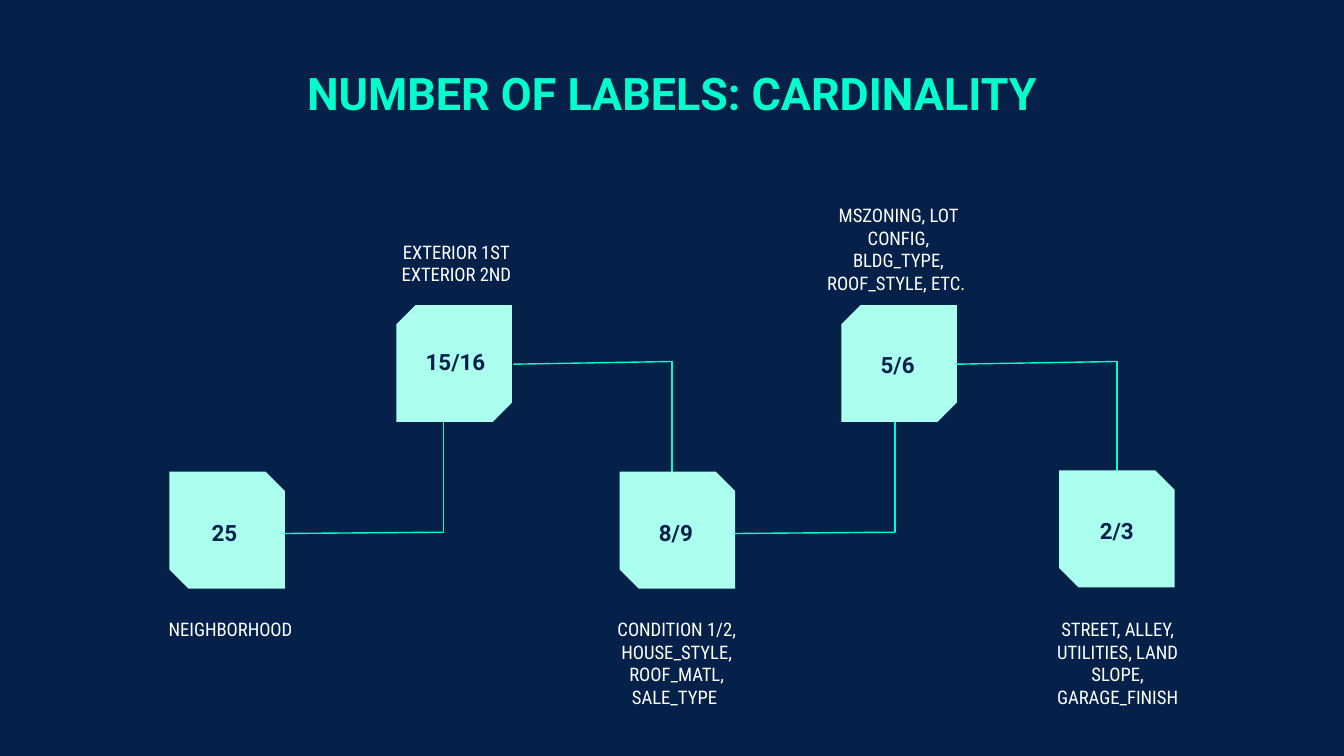
from pptx import Presentation
from pptx.dml.color import RGBColor
from pptx.enum.shapes import MSO_CONNECTOR, MSO_SHAPE
from pptx.enum.text import MSO_ANCHOR, MSO_AUTO_SIZE, PP_ALIGN
from pptx.oxml.ns import qn
from pptx.util import Inches, Pt
from lxml import etree

STRAIGHT = MSO_CONNECTOR.STRAIGHT
SNIPPED = MSO_SHAPE.SNIP_2_DIAG_RECTANGLE
TOP = MSO_ANCHOR.TOP
CENTER = PP_ALIGN.CENTER
NO_AUTOFIT = MSO_AUTO_SIZE.NONE

COLORS = {"navy": "05214A", "mint": "AAFFEE", "aqua": "00FFCD", "white": "FFFFFF"}
BOX_WIDTH, BOX_HEIGHT = 0.86, 0.87
SNIP = 0.167

# Box position, upper row or not, count with its position,
# label lines with their left, top and width
STEPS = [
    (1.26, 3.51, False, "25", 1.24, 3.76, ["NEIGHBORHOOD"], 1, 4.5, 1.43),
    (2.95, 2.27, True, "15/16", 2.96, 2.49,
     ["EXTERIOR 1ST", "EXTERIOR 2ND"], 2.6, 1.69, 1.59),
    (4.61, 3.51, False, "8/9", 4.6, 3.76,
     ["CONDITION 1/2, HOUSE_STYLE, ROOF_MATL, SALE_TYPE "], 4.36, 4.5, 1.35),
    (6.26, 2.27, True, "5/6", 6.25, 2.51,
     ["MSZONING, LOT CONFIG, BLDG_TYPE,", "ROOF_STYLE, ETC. "], 6.01, 1.42, 1.35),
    (7.88, 3.5, False, "2/3", 7.88, 3.75,
     ["STREET, ALLEY, UTILITIES, LAND SLOPE, GARAGE_FINISH"], 7.64, 4.5, 1.35),
]

# Start, corner and end of the link from each step to the next
LINKS = [
    ((2.11, 3.97), (3.3, 3.96), (3.3, 2.97)),
    ((3.82, 2.71), (5, 2.69), (5, 3.69)),
    ((5.46, 3.97), (6.66, 3.96), (6.66, 2.97)),
    ((7.11, 2.71), (8.31, 2.69), (8.31, 3.69)),
]


def color(name):
    return RGBColor.from_string(COLORS[name])


def write_text(shape, lines, font_name, size, color_name, bold=False):
    frame = shape.text_frame
    frame.word_wrap = True
    frame.auto_size = NO_AUTOFIT
    frame.vertical_anchor = TOP
    frame.margin_left = frame.margin_right = Inches(0.1)
    frame.margin_top = frame.margin_bottom = Inches(0.1)
    frame.text = "\n".join(lines)
    for paragraph in frame.paragraphs:
        paragraph.alignment = CENTER
        paragraph.font.name = font_name
        paragraph.font.size = Pt(size)
        paragraph.font.bold = bold
        paragraph.font.color.rgb = color(color_name)


def add_title(slide, text):
    title = slide.shapes.title
    title.left, title.top = Inches(2.15), Inches(0.39)
    title.width, title.height = Inches(5.7), Inches(1.03)
    write_text(title, [text], "Roboto", 24, "aqua", bold=True)


def add_box(slide, left, top, upper):
    box = slide.shapes.add_shape(SNIPPED, Inches(left), Inches(top),
                                 Inches(BOX_WIDTH), Inches(BOX_HEIGHT))
    # Upper boxes mirror the cut corners of the lower ones
    box.adjustments[0] = SNIP if upper else 0
    box.adjustments[1] = 0 if upper else SNIP
    box.shadow.inherit = False
    box.fill.solid()
    box.fill.fore_color.rgb = color("mint")
    box.line.fill.background()


def add_line(slide, start, end):
    line = slide.shapes.add_connector(
        STRAIGHT, *(Inches(value) for value in (*start, *end)))
    line.line.color.rgb = color("aqua")
    line.line.width = Pt(0.75)
    etree.SubElement(line._element.spPr, qn("a:effectLst"))


def add_text_box(slide, left, top, width, height, *text_format, bold=False):
    text_box = slide.shapes.add_textbox(Inches(left), Inches(top),
                                        Inches(width), Inches(height))
    write_text(text_box, *text_format, bold=bold)


def main():
    # Widescreen slide, 16 to 9
    presentation = Presentation()
    presentation.slide_width = Inches(10)
    presentation.slide_height = Inches(10) * 9 // 16
    slide = presentation.slides.add_slide(presentation.slide_layouts[5])
    slide.background.fill.solid()
    slide.background.fill.fore_color.rgb = color("navy")

    add_title(slide, "NUMBER OF LABELS: CARDINALITY")

    # Boxes, each followed by its link so that the next box covers the line end
    for index, (left, top, upper, *_) in enumerate(STEPS):
        add_box(slide, left, top, upper)
        if index < len(LINKS):
            start, corner, end = LINKS[index]
            add_line(slide, start, corner)
            add_line(slide, corner, end)

    # Counts and variable names
    for (_, _, _, count, count_left, count_top,
         lines, label_left, label_top, label_width) in STEPS:
        add_text_box(slide, count_left, count_top, BOX_WIDTH, 0.43,
                     [count], "Roboto", 12, "navy", bold=True)
        add_text_box(slide, label_left, label_top, label_width, 0.66,
                     lines, "Roboto Condensed", 10, "white")

    presentation.save("out.pptx")


if __name__ == "__main__":
    main()
